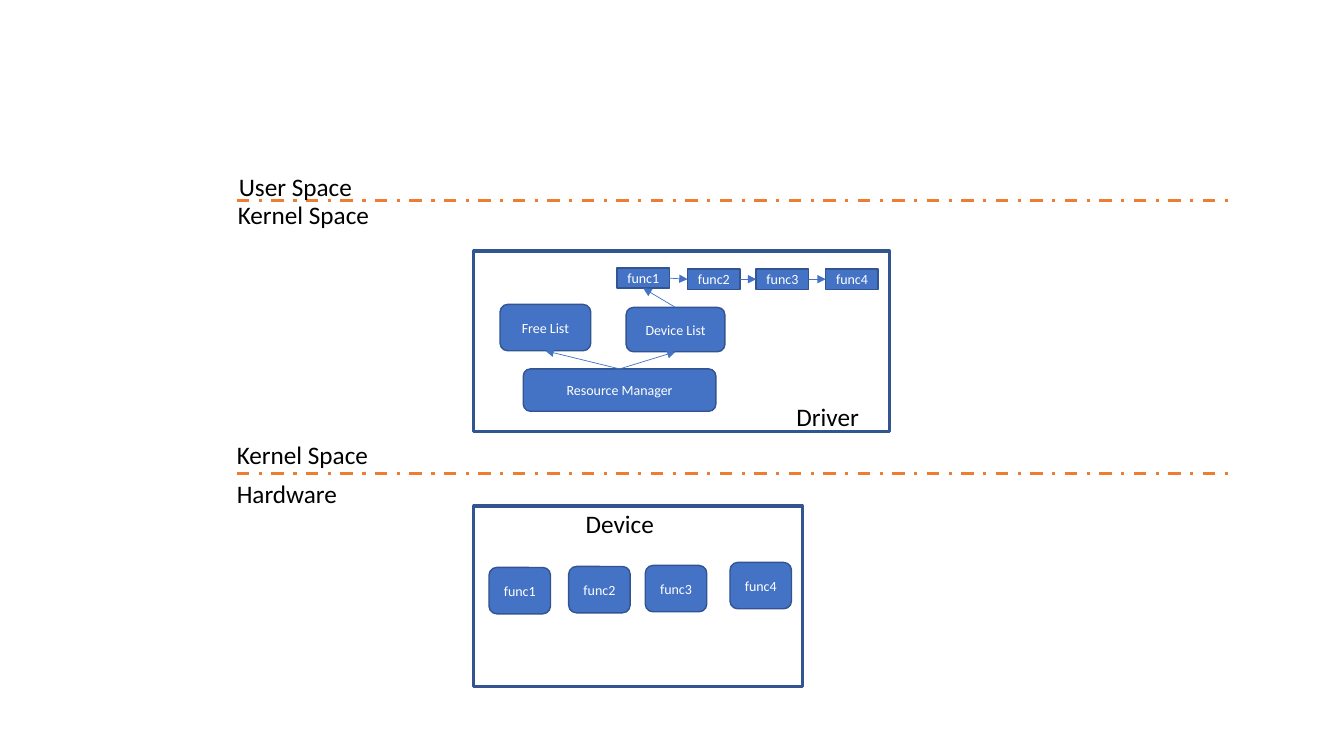
from pptx import Presentation
from pptx import util as u
from pptx.dml.color import RGBColor
from pptx.enum import dml, shapes, text
from pptx.oxml.ns import qn
from lxml import etree

PX = 9144
BLUE = RGBColor(0x44, 0x72, 0xC4)
NAVY = RGBColor(0x32, 0x54, 0x91)
ORANGE = RGBColor(0xED, 0x7D, 0x31)
WHITE = RGBColor(0xFF, 0xFF, 0xFF)
BLACK = RGBColor(0x00, 0x00, 0x00)

RECT = shapes.MSO_SHAPE.RECTANGLE
ROUNDED = shapes.MSO_SHAPE.ROUNDED_RECTANGLE
TOP, LEFT, BOTTOM, RIGHT = range(4)


def px(*lengths):
    return [u.Emu(length * PX) for length in lengths]


def write_text(frame, words, size=18, color=BLACK, align=text.PP_ALIGN.LEFT,
               anchor=text.MSO_ANCHOR.TOP):
    frame.word_wrap = True
    frame.vertical_anchor = anchor
    paragraph = frame.paragraphs[0]
    paragraph.alignment = align
    run = paragraph.add_run()
    run.text = words
    run.font.name = "Calibri"
    run.font.size = u.Pt(size)
    run.font.color.rgb = color


def add_label(parent, words, left, top, width):
    label = parent.shapes.add_textbox(*px(left, top, width, 40))
    write_text(label.text_frame, words)
    label.text_frame.auto_size = text.MSO_AUTO_SIZE.SHAPE_TO_FIT_TEXT


def add_block(parent, kind, bounds, fill, weight):
    block = parent.shapes.add_shape(kind, *px(*bounds))
    block.shadow.inherit = False
    block.fill.solid()
    block.fill.fore_color.rgb = fill
    block.line.color.rgb = NAVY
    block.line.width = u.Pt(weight)
    return block


def add_frame(parent, *bounds):
    add_block(parent, RECT, bounds, WHITE, 2.25)


def add_node(parent, words, *bounds, kind=ROUNDED):
    node = add_block(parent, kind, bounds, BLUE, 1)
    frame = node.text_frame
    frame.margin_left = frame.margin_right = 0
    frame.margin_top = frame.margin_bottom = 0
    write_text(frame, words, size=10, color=WHITE,
               align=text.PP_ALIGN.CENTER, anchor=text.MSO_ANCHOR.MIDDLE)
    return node


def add_line(parent, ends, color, weight):
    line = parent.shapes.add_connector(shapes.MSO_CONNECTOR.STRAIGHT, *px(*ends))
    line.line.color.rgb = color
    line.line.width = u.Pt(weight)
    etree.SubElement(line._element.spPr, qn("a:effectLst"))
    return line


def add_boundary(slide, y):
    boundary = add_line(slide, (235, y, 1221, y), ORANGE, 2.25)
    boundary.line.dash_style = dml.MSO_LINE.DASH_DOT


def add_arrow(parent, source, source_side, target, target_side):
    arrow = add_line(parent, (0, 0, 0, 0), BLUE, 0.5)
    arrow.begin_connect(source, source_side)
    arrow.end_connect(target, target_side)
    etree.SubElement(arrow.get_or_add_ln(), qn("a:tailEnd"), type="triangle")


def add_device(slide):
    device = slide.shapes.add_group_shape()
    add_frame(device, 470, 502, 326, 179)
    add_label(device, "Device", 571, 499, 115)
    corners = [(485, 563), (564, 562), (640, 561), (724, 558)]
    for number, (left, top) in enumerate(corners, 1):
        add_node(device, f"func{number}", left, top, 61, 46)


def add_driver(slide):
    driver = slide.shapes.add_group_shape()
    add_frame(driver, 470, 249, 412, 179)
    add_label(driver, "Driver", 780, 393, 115)
    manager = add_node(driver, "Resource Manager", 519, 366, 191, 42)
    free_list = add_node(driver, "Free List", 496, 302, 90, 46)
    device_list = add_node(driver, "Device List", 621, 305, 98, 44)
    corners = [(612, 266), (682, 267), (750, 267), (819, 267)]
    functions = [add_node(driver, f"func{number}", left, top, 52, 20, kind=RECT)
                 for number, (left, top) in enumerate(corners, 1)]
    add_arrow(driver, device_list, TOP, functions[0], BOTTOM)
    for function, following in zip(functions, functions[1:]):
        add_arrow(driver, function, RIGHT, following, LEFT)
    for resource_list in (device_list, free_list):
        add_arrow(driver, manager, TOP, resource_list, BOTTOM)


def main():
    deck = Presentation()
    deck.slide_width, deck.slide_height = px(1333, 750)
    slide = deck.slides.add_slide(deck.slide_layouts[6])
    for y in (470, 199):
        add_boundary(slide, y)
    add_label(slide, "Hardware", 225, 470, 128)
    add_label(slide, "Kernel Space", 225, 431, 168)
    add_label(slide, "Kernel Space", 226, 193, 168)
    add_label(slide, "User Space", 227, 165, 168)
    add_device(slide)
    add_driver(slide)
    deck.save("out.pptx")


if __name__ == "__main__":
    main()
